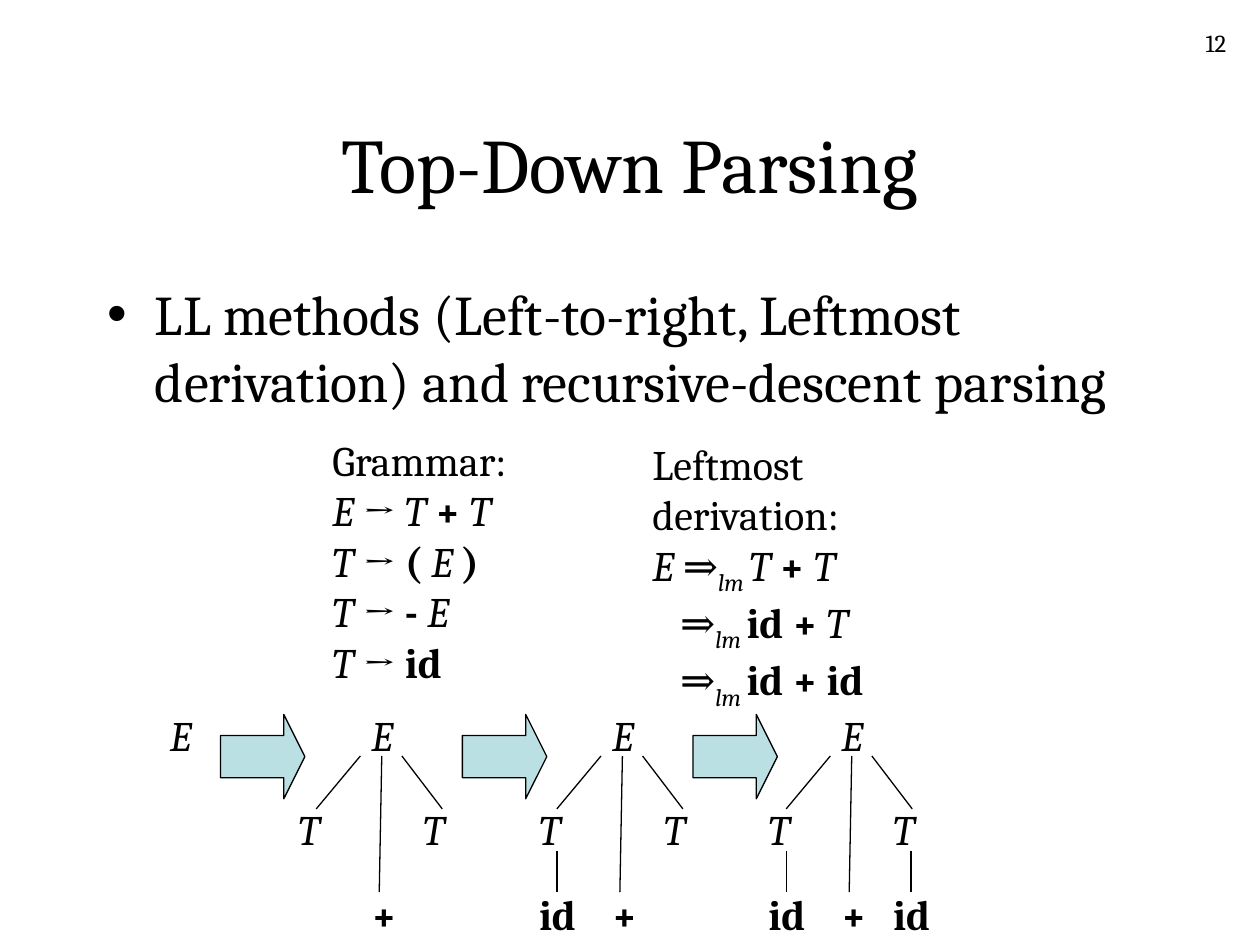
from pptx import Presentation
from pptx.dml.color import RGBColor
from pptx.enum.shapes import MSO_CONNECTOR, MSO_SHAPE
from pptx.enum.text import MSO_ANCHOR, MSO_AUTO_SIZE, PP_ALIGN
from pptx.oxml.ns import qn
from pptx.util import Inches, Pt
from lxml import etree


def write(paragraph, runs, size=24):
    for text, style in runs:
        run = paragraph.add_run()
        run.text = text
        run.font.name = "Cambria"
        run.font.size = Pt(size)
        run.font.color.rgb = RGBColor.from_string("000000")
        run.font.bold = style == "bold"
        run.font.italic = style in ("italic", "subscript")
        if style == "subscript":
            run.font._element.set("baseline", "-25000")


def add_text(left, top, width, height, lines, size=24):
    box = slide.shapes.add_textbox(Inches(left), Inches(top), Inches(width), Inches(height))
    frame = box.text_frame
    frame.word_wrap = True
    for index, (indent, runs) in enumerate(lines):
        paragraph = frame.add_paragraph() if index else frame.paragraphs[0]
        if indent:
            paragraph._p.get_or_add_pPr().set("marL", str(Inches(indent)))
        write(paragraph, runs, size)
    return frame


presentation = Presentation()
presentation.slide_width = Inches(10)
presentation.slide_height = Inches(7.5)
slide = presentation.slides.add_slide(presentation.slide_layouts[1])

number = add_text(7.75, 0.17, 2.08, 0.5, [(0, [("12", "plain")])], 14)
number.paragraphs[0].alignment = PP_ALIGN.RIGHT

title = slide.shapes.title
title.left, title.top = Inches(0.75), Inches(0.67)
title.width, title.height = Inches(8.5), Inches(1.25)
title.text_frame.vertical_anchor = MSO_ANCHOR.MIDDLE
title.text_frame.paragraphs[0].alignment = PP_ALIGN.CENTER
write(title.text_frame.paragraphs[0], [("Top-Down Parsing", "plain")], 44)

body = slide.placeholders[1]
body.left, body.top = Inches(0.75), Inches(2.17)
body.width, body.height = Inches(8.5), Inches(4.5)
body.text_frame.auto_size = MSO_AUTO_SIZE.NONE
bullet = body.text_frame.paragraphs[0]
properties = bullet._p.get_or_add_pPr()
properties.set("marL", str(Inches(0.38)))
properties.set("indent", str(Inches(-0.38)))
etree.SubElement(properties, qn("a:buChar")).set("char", "•")
write(bullet, [("LL methods (Left-to-right, Leftmost derivation) and recursive-descent parsing", "plain")], 32)

arrow = (" → ", "plain")
add_text(2.54, 3.4, 1.63, 2.1, [
    (0, [("Grammar:", "plain")]),
    (0, [("E", "italic"), arrow, ("T ", "italic"), ("+ ", "bold"), ("T", "italic")]),
    (0, [("T", "italic"), arrow, ("( ", "bold"), ("E ", "italic"), (")", "bold")]),
    (0, [("T", "italic"), arrow, ("- ", "bold"), ("E", "italic")]),
    (0, [("T", "italic"), arrow, ("id", "bold")]),
])

lm = ("lm ", "subscript")
add_text(5.08, 3.43, 2.93, 1.7, [
    (0, [("Leftmost", "plain")]),
    (0, [("derivation:", "plain")]),
    (0, [("E", "italic"), (" ⇒", "plain"), lm, ("T ", "italic"), ("+", "bold"), (" T", "italic")]),
    (0.22, [("⇒", "plain"), lm, ("id + ", "bold"), ("T", "italic")]),
    (0.22, [("⇒", "plain"), lm, ("id + id", "bold")]),
])

add_text(1.25, 5.58, 0.4, 0.5, [(0, [("E", "italic")])])
for root, leaves in [(2.85, []), (4.76, [-0.58]), (6.58, [-0.58, 0.41])]:
    nodes = [("E", "italic", 0, 5.58, 0.4), ("T", "italic", -0.58, 6.33, 0.39),
             ("T", "italic", 0.41, 6.33, 0.39), ("+", "bold", 0, 7, 0.39)]
    nodes += [("id", "bold", offset, 7, 0.6) for offset in leaves]
    for text, style, offset, top, width in nodes:
        add_text(root + offset, top, width, 0.5, [(0, [(text, style)])])

    branches = [(0.01, 6, -0.34, 6.42), (0.18, 6, 0.16, 7.08), (0.34, 6, 0.66, 6.42)]
    branches += [(offset + 0.24, 6.75, offset + 0.24, 7.08) for offset in leaves]
    for start_x, start_y, end_x, end_y in branches:
        branch = slide.shapes.add_connector(
            MSO_CONNECTOR.STRAIGHT, Inches(root + start_x), Inches(start_y),
            Inches(root + end_x), Inches(end_y))
        branch.line.color.rgb = RGBColor.from_string("000000")
        branch.line.width = Pt(0.75)
        etree.SubElement(branch._element.spPr, qn("a:effectLst"))

for left in (1.75, 3.67, 5.5):
    step = slide.shapes.add_shape(
        MSO_SHAPE.RIGHT_ARROW, Inches(left), Inches(5.67), Inches(0.67), Inches(0.67))
    step.adjustments[0] = 0.5
    step.adjustments[1] = 0.25
    step.shadow.inherit = False
    step.fill.solid()
    step.fill.fore_color.rgb = RGBColor.from_string("BBE0E3")
    step.line.color.rgb = RGBColor.from_string("000000")
    step.line.width = Pt(0.75)

presentation.save("out.pptx")
